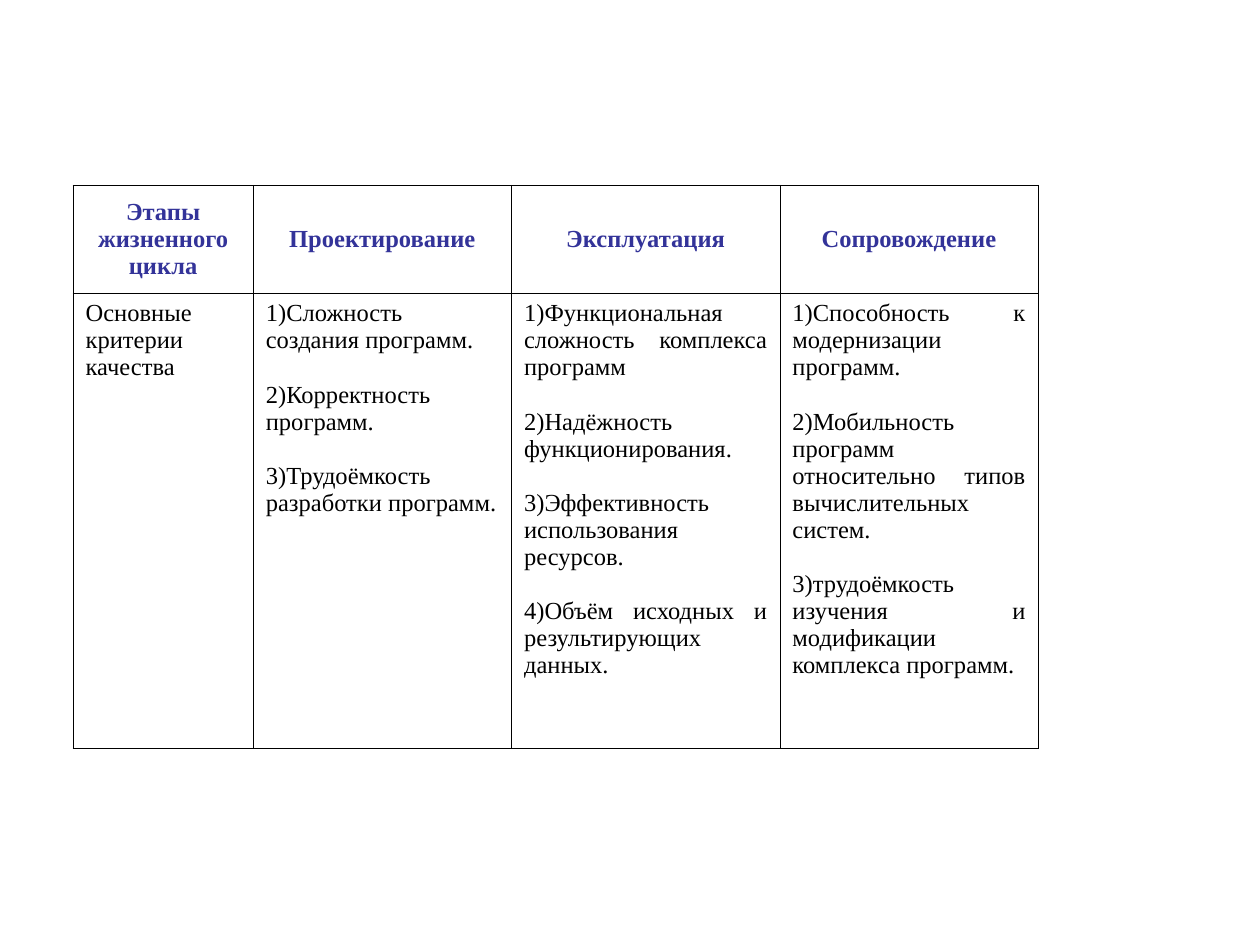
from dataclasses import dataclass

from lxml.etree import SubElement
from pptx import Presentation
from pptx.dml.color import RGBColor
from pptx.enum.text import MSO_ANCHOR, PP_ALIGN
from pptx.oxml.ns import qn
from pptx.table import _Cell
from pptx.util import Inches, Pt


@dataclass(frozen=True)
class Theme:
    font: str = "Times New Roman"
    size: float = 14
    item_gap: float = 15.5
    border_width: float = 0.45
    heading: str = "333399"
    ink: str = "000000"


@dataclass(frozen=True)
class Grid:
    width: float = 10
    height: float = 7.5
    columns: int = 100
    rows: int = 75

    def across(self, count: float) -> int:
        return Inches(self.width * count / self.columns)

    def down(self, count: float) -> int:
        return Inches(self.height * count / self.rows)


@dataclass(frozen=True)
class CellStyle:
    color: str
    bold: bool
    align: PP_ALIGN
    anchor: MSO_ANCHOR


@dataclass(frozen=True)
class Stage:
    name: str
    columns: float
    criteria: tuple[str, ...]
    align: PP_ALIGN = PP_ALIGN.JUSTIFY


THEME = Theme()
GRID = Grid()
LEFT, TOP = 5.8, 14.7
HEADER_ROWS, BODY_ROWS = 8.6, 36.1
HEADER = CellStyle(THEME.heading, True, PP_ALIGN.CENTER, MSO_ANCHOR.MIDDLE)

STAGES = (
    Stage("Этапы жизненного цикла", 14.3,
          ("Основные критерии качества",), PP_ALIGN.LEFT),
    Stage("Проектирование", 20.5, (
        "1)Сложность создания программ.",
        "2)Корректность программ.",
        "3)Трудоёмкость разработки программ.",
    )),
    Stage("Эксплуатация", 21.3, (
        "1)Функциональная сложность комплекса программ",
        "2)Надёжность функционирования.",
        "3)Эффективность использования ресурсов.",
        "4)Объём исходных и результирующих данных.",
    )),
    Stage("Сопровождение", 20.5, (
        "1)Способность к модернизации программ.",
        "2)Мобильность программ относительно типов вычислительных систем.",
        "3)трудоёмкость изучения и модификации комплекса программ.",
    )),
)


def draw_borders(cell: _Cell) -> None:
    properties = cell._tc.get_or_add_tcPr()
    for position, side in enumerate(("lnL", "lnR", "lnT", "lnB")):
        line = SubElement(properties, qn(f"a:{side}"), w=str(Pt(THEME.border_width)))
        fill = SubElement(line, qn("a:solidFill"))
        SubElement(fill, qn("a:srgbClr"), val=THEME.ink)
        properties.insert(position, line)


def fill_cell(cell: _Cell, texts: tuple[str, ...], style: CellStyle) -> None:
    cell.fill.background()
    cell.vertical_anchor = style.anchor
    draw_borders(cell)
    frame = cell.text_frame
    for index, text in enumerate(texts):
        para = frame.add_paragraph() if index else frame.paragraphs[0]
        para.alignment = style.align
        para.space_before = Pt(THEME.item_gap if index else 0)
        span = para.add_run()
        span.text = text
        span.font.name = THEME.font
        span.font.size = Pt(THEME.size)
        span.font.bold = style.bold
        span.font.color.rgb = RGBColor.from_string(style.color)


def main() -> None:
    deck = Presentation()
    deck.slide_width, deck.slide_height = Inches(GRID.width), Inches(GRID.height)
    page = deck.slides.add_slide(deck.slide_layouts[6])
    table = page.shapes.add_table(
        2, len(STAGES), GRID.across(LEFT), GRID.down(TOP),
        GRID.across(sum(stage.columns for stage in STAGES)),
        GRID.down(HEADER_ROWS + BODY_ROWS),
    ).table
    table.first_row = table.horz_banding = False
    for row, height in zip(table.rows, (HEADER_ROWS, BODY_ROWS)):
        row.height = GRID.down(height)
    for index, stage in enumerate(STAGES):
        table.columns[index].width = GRID.across(stage.columns)
        body = CellStyle(THEME.ink, False, stage.align, MSO_ANCHOR.TOP)
        fill_cell(table.cell(0, index), (stage.name,), HEADER)
        fill_cell(table.cell(1, index), stage.criteria, body)
    deck.save("out.pptx")


if __name__ == "__main__":
    main()
